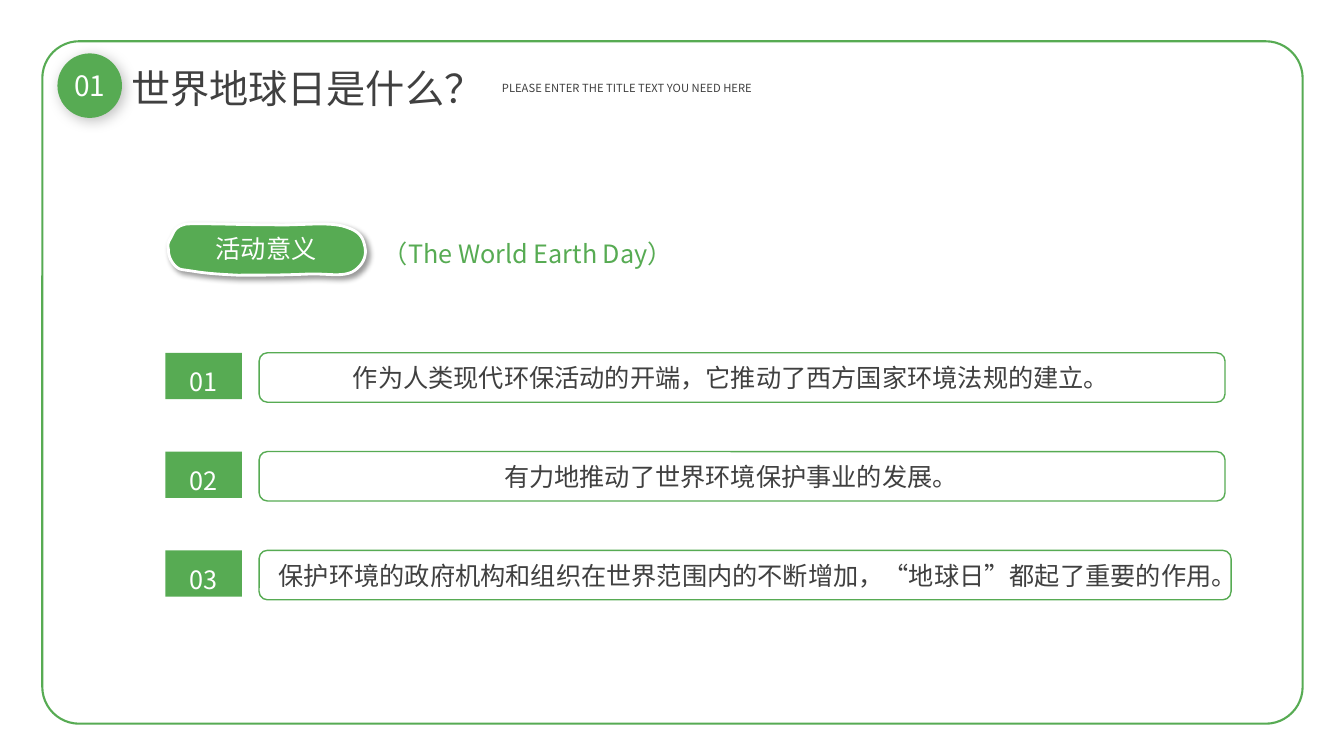
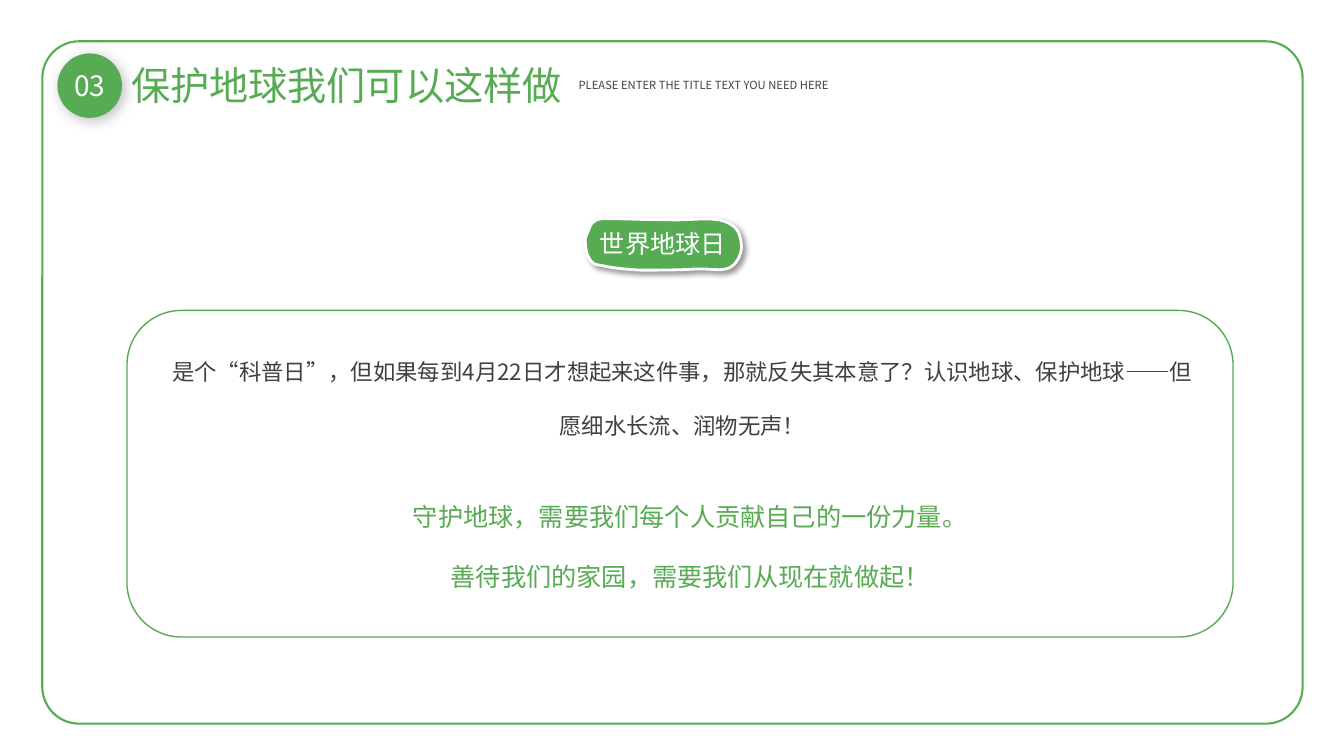
from lxml import etree
from pptx import Presentation
from pptx.dml.color import RGBColor
from pptx.enum import shapes, text
from pptx.oxml import ns
from pptx.util import Inches, Pt

GREEN = RGBColor(0x57, 0xAB, 0x53)
GREY = RGBColor(0x40, 0x40, 0x40)
WHITE = RGBColor(0xFF, 0xFF, 0xFF)
FONT = "Noto Sans CJK SC"
SUBTITLE = "PLEASE ENTER THE TITLE TEXT YOU NEED HERE"
SHAPE = shapes.MSO_SHAPE
LEFT, CENTER = text.PP_ALIGN.LEFT, text.PP_ALIGN.CENTER
TOP, MIDDLE = text.MSO_ANCHOR.TOP, text.MSO_ANCHOR.MIDDLE

MEANING = {
    "number": "01", "title": "世界地球日是什么？", "color": GREY,
    "title_box": (1.2, 0.59, 3.8, 0.57), "subtitle_left": 4.88,
    "badge": "活动意义", "badge_box": (1.66, 2.22, 1.96),
}
ACTION = {
    "number": "03", "title": "保护地球我们可以这样做", "color": GREEN,
    "title_box": (1.2, 0.56, 4.86, 0.57), "subtitle_left": 5.64,
    "badge": "世界地球日", "badge_box": (5.8, 2.17, 1.55),
}
CAPTION = "（The World Earth Day）"
ROWS = [
    ("作为人类现代环保活动的开端，它推动了西方国家环境法规的建立。", 9.36, 9.58),
    ("有力地推动了世界环境保护事业的发展。", 9.36, 9.58),
    ("保护环境的政府机构和组织在世界范围内的不断增加，“地球日”都起了重要的作用。", 9.64, 9.64),
]
ROW_TOP, ROW_PITCH = 3.5, 0.98
MESSAGE = ("是个“科普日”，但如果每到4月22日才想起来这件事，那就反失其本意了？"
           "认识地球、保护地球——但愿细水长流、润物无声！")
CLOSING = ["守护地球，需要我们每个人贡献自己的一份力量。",
           "善待我们的家园，需要我们从现在就做起！"]

BADGE_WIDTH = 196
BADGE_START = (34, 0)
BADGE_CURVES = [
    ((52, 0), (75, 1), (103, 1)), ((131, 2), (155, -2), (173, 2)),
    ((192, 7), (194, 14), (196, 23)), ((198, 32), (194, 42), (183, 48)),
    ((171, 53), (160, 49), (137, 50)), ((115, 51), (93, 51), (70, 51)),
    ((48, 50), (37, 49), (25, 47)), ((12, 45), (13, 46), (8, 42)),
    ((3, 37), (1, 31), (1, 25)), ((0, 20), (1, 18), (4, 13)),
    ((6, 9), (7, 5), (13, 2)), ((19, 0), (16, 0), (34, 0)),
]
CURVE_STEPS = 10


def inches(box):
    return [Inches(value) for value in box]


def paint(shape, fill=None, line=None, width=1):
    shape.shadow.inherit = False
    if fill is None:
        shape.fill.background()
    else:
        shape.fill.solid()
        shape.fill.fore_color.rgb = fill
    if line is None:
        shape.line.fill.background()
    else:
        shape.line.color.rgb = line
        shape.line.width = Pt(width)


def cast_shadow(shape, opacity, blur):
    effects = shape.element.spPr.find(ns.qn("a:effectLst"))
    shadow = etree.SubElement(effects, ns.qn("a:outerShdw"), blurRad=str(Pt(blur)),
                              dist=str(Pt(3)), dir=str(45 * 60000), algn="tl", rotWithShape="0")
    color = etree.SubElement(shadow, ns.qn("a:srgbClr"), val="000000")
    etree.SubElement(color, ns.qn("a:alpha"), val=str(opacity * 1000))


def write(shape, lines, size, color, align=LEFT, spacing=1.0, anchor=TOP, wrap=True):
    frame = shape.text_frame
    frame.text = "\n".join(lines)
    frame.word_wrap = wrap
    frame.auto_size = text.MSO_AUTO_SIZE.NONE
    frame.vertical_anchor = anchor
    for paragraph in frame.paragraphs:
        paragraph.alignment = align
        paragraph.line_spacing = spacing
        paragraph.space_before = Pt(0)
        for run in paragraph.runs:
            run.font.size = Pt(size)
            run.font.name = FONT
            run.font.color.rgb = color
            properties = run.font._element
            properties.set("lang", "zh-CN")
            east_asian = etree.SubElement(properties, ns.qn("a:ea"))
            east_asian.set("typeface", FONT)


def add_text(slide, box, line, size, color, align=LEFT, spacing=1.0):
    write(slide.shapes.add_textbox(*inches(box)), [line], size, color, align, spacing)


def add_box(slide, kind, box, fill=None, line=None, width=1):
    shape = slide.shapes.add_shape(kind, *inches(box))
    paint(shape, fill, line, width)
    return shape


def badge_outline(left, top, width):
    points, start = [BADGE_START], BADGE_START
    for first, second, end in BADGE_CURVES:
        for step in range(1, CURVE_STEPS + 1):
            t = step / CURVE_STEPS
            s = 1 - t
            points.append(tuple(s**3 * a + 3 * s * s * t * b + 3 * s * t * t * c + t**3 * d
                                for a, b, c, d in zip(start, first, second, end)))
        start = end
    return [(Inches(left + x * width / BADGE_WIDTH), Inches(top + y / 100)) for x, y in points]


def add_badge(slide, label, box):
    left, top, width = box
    points = badge_outline(*box)
    builder = slide.shapes.build_freeform(*points[0], scale=1.0)
    builder.add_line_segments(points[1:], close=True)
    badge = builder.convert_to_shape()
    paint(badge, GREEN, WHITE, 2)
    cast_shadow(badge, 40, 4)
    label_width = 1.79
    label_left = left + (width - label_width) / 2
    add_text(slide, (label_left, top + 0.05, label_width, 0.4), label, 18, WHITE, CENTER)


def add_page(presentation, layout_index, page):
    slide = presentation.slides.add_slide(presentation.slide_layouts[layout_index])
    circle = add_box(slide, SHAPE.OVAL, (0.57, 0.53, 0.64, 0.64), GREEN)
    cast_shadow(circle, 25, 10)
    write(circle, [page["number"]], 20, WHITE, CENTER, anchor=MIDDLE, wrap=False)
    title = slide.shapes.title
    title.left, title.top, title.width, title.height = inches(page["title_box"])
    write(title, [page["title"]], 28, page["color"])
    subtitle_top = page["title_box"][1] + 0.17
    add_text(slide, (page["subtitle_left"], subtitle_top, 3.62, 0.23), SUBTITLE, 8, GREY)
    add_badge(slide, page["badge"], page["badge_box"])
    return slide


def add_master_frame(presentation, slide):
    frame = add_box(slide, SHAPE.ROUNDED_RECTANGLE, (0.42, 0.41, 12.5, 6.77), WHITE, GREEN, 1.5)
    frame.adjustments[0] = 0.054
    frame.element.xpath(".//p:cNvPr")[0].set("id", "100")
    presentation.slide_master.shapes.element.insert(2, frame.element)


def fill_meaning(slide):
    add_text(slide, (3.7, 2.23, 3.38, 0.46), CAPTION, 18, GREEN, spacing=1.3)
    for index, (line, text_width, box_width) in enumerate(ROWS):
        top = ROW_TOP + index * ROW_PITCH
        add_text(slide, (2.57, top + 0.05, text_width, 0.4), line, 18, GREY, CENTER)
        number = add_box(slide, SHAPE.RECTANGLE, (1.64, top, 0.76, 0.46), GREEN)
        write(number, [f"{index + 1:02d}"], 18, WHITE, CENTER, 1.3)
        add_box(slide, SHAPE.ROUNDED_RECTANGLE, (2.57, top, box_width, 0.49), line=GREEN)


def fill_action(slide):
    add_text(slide, (1.56, 3.24, 10.42, 1.1), MESSAGE, 16, GREY, CENTER, 2.0)
    add_box(slide, SHAPE.ROUNDED_RECTANGLE, (1.26, 3.08, 10.97, 3.24), line=GREEN)
    body = slide.placeholders[1]
    body.left, body.top, body.width, body.height = inches((1.64, 4.62, 10.41, 1.22))
    write(body, CLOSING, 18, GREEN, CENTER, 2.0)
    for paragraph in body.text_frame.paragraphs:
        properties = paragraph._p.get_or_add_pPr()
        properties.set("marL", "0")
        properties.set("indent", "0")
        etree.SubElement(properties, ns.qn("a:buNone"))


def main():
    presentation = Presentation()
    presentation.slide_width, presentation.slide_height = inches((13.33, 7.5))
    meaning = add_page(presentation, 5, MEANING)
    add_master_frame(presentation, meaning)
    fill_meaning(meaning)
    fill_action(add_page(presentation, 1, ACTION))
    presentation.save("out.pptx")


if __name__ == "__main__":
    main()
